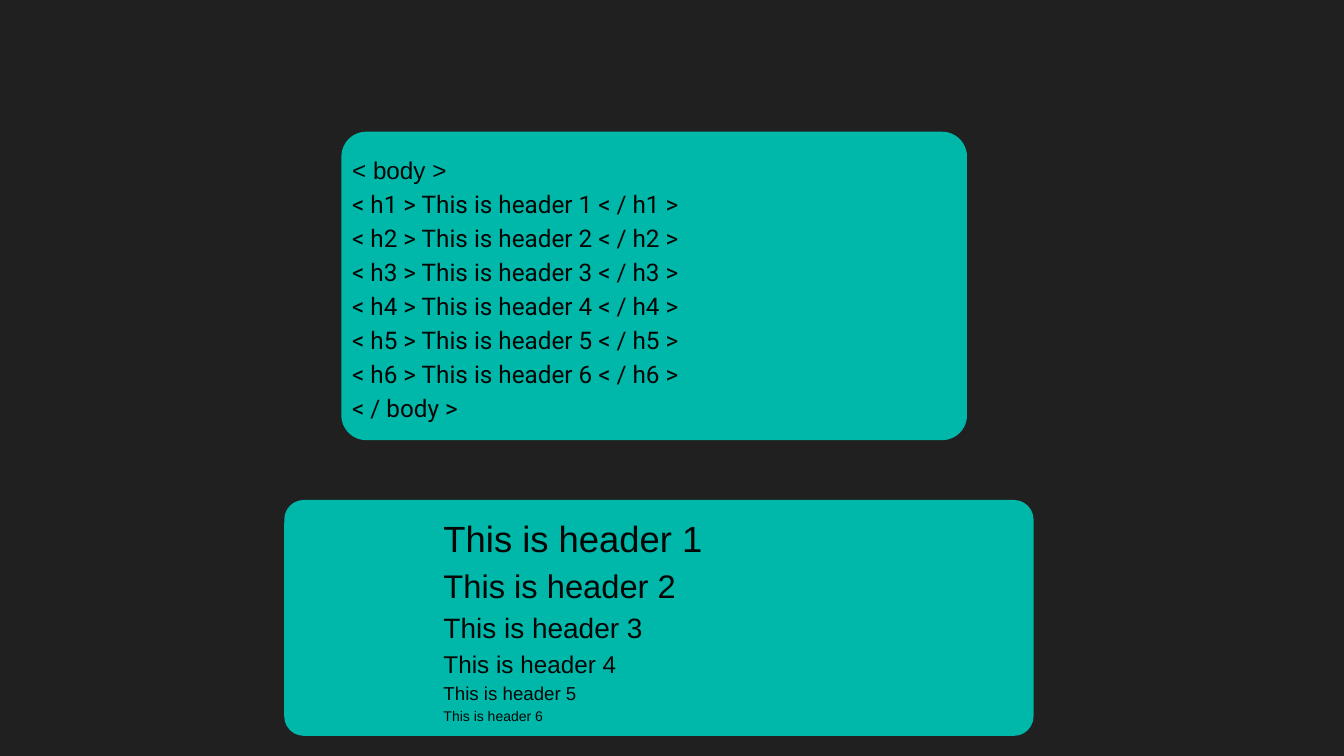
from dataclasses import dataclass

from pptx import Presentation
from pptx.dml.color import RGBColor
from pptx.enum.shapes import MSO_SHAPE
from pptx.slide import Slide
from pptx.util import Emu, Pt

EMU_PER_PX = 9144  # 100 px to the inch
LINE_SPACING = 1.4
BODY_SIZE = 26
COLORS = {"background": "202020", "panel": "00B8A9", "text": "040606"}


@dataclass(frozen=True)
class Box:
    left: int
    top: int
    width: int
    height: int

    def emu(self) -> tuple[Emu, ...]:
        lengths = (self.left, self.top, self.width, self.height)
        return tuple(Emu(length * EMU_PER_PX) for length in lengths)


@dataclass(frozen=True)
class Line:
    text: str
    size: int = BODY_SIZE
    font: str = "Arial"


@dataclass(frozen=True)
class Panel:
    box: Box
    corner: int
    text_box: Box
    lines: list[Line]


def color(name: str) -> RGBColor:
    return RGBColor.from_string(COLORS[name])


def draw_background(slide: Slide) -> None:
    slide.background.fill.solid()
    slide.background.fill.fore_color.rgb = color("background")


def draw_panel(slide: Slide, panel: Panel) -> None:
    shape = slide.shapes.add_shape(MSO_SHAPE.ROUNDED_RECTANGLE, *panel.box.emu())
    shape.adjustments[0] = panel.corner / panel.box.height
    shape.shadow.inherit = False
    shape.fill.solid()
    shape.fill.fore_color.rgb = color("panel")
    shape.line.fill.background()


def draw_text(slide: Slide, box: Box, lines: list[Line]) -> None:
    frame = slide.shapes.add_textbox(*box.emu()).text_frame
    frame.word_wrap = True
    frame.margin_left = frame.margin_top = frame.margin_right = frame.margin_bottom = 0
    frame.text = "\n".join(line.text for line in lines)
    for paragraph, line in zip(frame.paragraphs, lines):
        paragraph.line_spacing = Pt(line.size * LINE_SPACING)
        for run in paragraph.runs:
            run.font.size = Pt(line.size)
            run.font.name = line.font
            run.font.color.rgb = color("text")


# Code example and its output
code_lines = [
    Line("< body >"),
    *(Line(f"< h{level} > This is header {level} < / h{level} >", font="Roboto")
      for level in range(1, 7)),
    Line("< / body >", font="Roboto"),
]
output_lines = [
    Line(f"This is header {level}", size)
    for level, size in enumerate((39, 35, 30, 26, 20, 15), start=1)
]
PANELS = [
    Panel(Box(508, 196, 931, 459), 37, Box(524, 224, 849, 397), code_lines),
    Panel(Box(423, 744, 1115, 351), 29, Box(660, 757, 680, 321), output_lines),
]


def main() -> None:
    # Slide and background
    presentation = Presentation()
    presentation.slide_width = Emu(2000 * EMU_PER_PX)
    presentation.slide_height = Emu(1125 * EMU_PER_PX)
    slide = presentation.slides.add_slide(presentation.slide_layouts[6])
    draw_background(slide)

    # Each panel with its text on top
    for panel in PANELS:
        draw_panel(slide, panel)
        draw_text(slide, panel.text_box, panel.lines)

    presentation.save("out.pptx")


if __name__ == "__main__":
    main()
